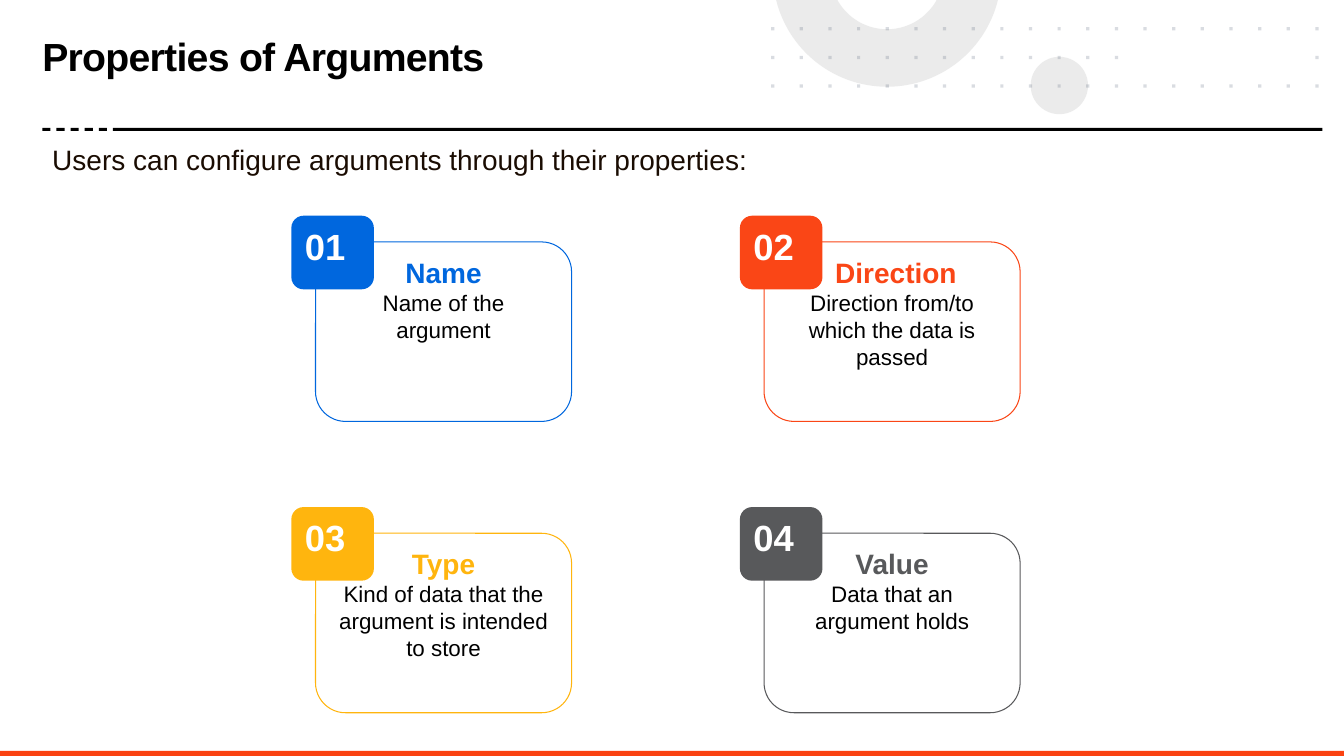
import math
import lxml.etree
import pptx
import pptx.dml.color
import pptx.enum.shapes
import pptx.enum.text
import pptx.oxml.ns
import pptx.util

TITLE = "Properties of Arguments"
INTRO = "Users can configure arguments through their properties:"
PROPERTIES = [
    ("01", "Name", "Name of the argument", "0067DE"),
    ("02", " Direction", "Direction from/to which the data is passed", "FA4616"),
    ("03", "Type", "Kind of data that the argument is intended to store", "FFB50E"),
    ("04", "Value", "Data that an argument holds", "58595B"),
]
THEME = {
    "font": "Arial", "black": "000000", "white": "FFFFFF", "intro": "1A0C02",
    "footer": "FA4211", "decor": "D9D9D9", "dots": "44546A",
    "title_size": 28, "badge_size": 26, "head_size": 20, "body_size": 16,
}

Pt = pptx.util.Pt
MSO_SHAPE = pptx.enum.shapes.MSO_SHAPE
PP_ALIGN = pptx.enum.text.PP_ALIGN
WIDTH, HEIGHT = 960, 540
MARGIN = 30.24
RULE_TOP, RULE_HEIGHT = 91.4, 2.2
CARD_X, CARD_Y, CARD_W, CARD_H = 225.4, 172.8, 182.9, 128.2
CARD_STEP_X, CARD_STEP_Y = 320.4, 208.1
BADGE_DX, BADGE_DY, BADGE_W, BADGE_H = -17.3, -18.7, 59, 52.6
DOT_X, DOT_Y, DOT_STEP, DOT_SIZE = 550.8, 19.4, 20.46, 2.3
DOT_COLUMNS, DOT_ROWS = 20, 3
MIDDLE_ROW_GAP = range(13, 19)
RING_X, RING_Y, RING_OUTER, RING_INNER = 633.6, -19.6, 81.6, 40.5


def rgb(color):
    return pptx.dml.color.RGBColor.from_string(color)


def paint(sp, fill=None, alpha=None, line=None):
    sp.shadow.inherit = False
    if fill:
        sp.fill.solid()
        sp.fill.fore_color.rgb = rgb(fill)
    else:
        sp.fill.background()
    if alpha:
        clr = sp._element.spPr.find(".//" + pptx.oxml.ns.qn("a:srgbClr"))
        lxml.etree.SubElement(clr, pptx.oxml.ns.qn("a:alpha")).set("val", str(alpha * 1000))
    if line:
        sp.line.color.rgb = rgb(line)
        sp.line.width = Pt(0.75)
    else:
        sp.line.fill.background()


def add_shape(s, kind, x, y, w, h, **look):
    sp = s.shapes.add_shape(kind, Pt(x), Pt(y), Pt(w), Pt(h))
    paint(sp, **look)
    return sp


def add_outline(s, contours, **look):
    start, *_ = contours[0]
    builder = s.shapes.build_freeform(start[0] * 100, start[1] * 100, scale=127.0)
    for i, (first, *rest) in enumerate(contours):
        if i:
            builder.move_to(first[0] * 100, first[1] * 100)
        builder.add_line_segments([(x * 100, y * 100) for x, y in rest], close=True)
    paint(builder.convert_to_shape(), **look)


def write(sp, lines, align=PP_ALIGN.LEFT):
    tf = sp.text_frame
    tf.word_wrap = True
    tf.vertical_anchor = pptx.enum.text.MSO_ANCHOR.TOP
    for i, (text, size, color, bold) in enumerate(lines):
        p = tf.add_paragraph() if i else tf.paragraphs[0]
        p.text = text
        p.alignment = align
        p.font.name = THEME["font"]
        p.font.size = Pt(size)
        p.font.bold = bold
        p.font.color.rgb = rgb(color)
    return tf


def add_text(s, x, y, w, h, line):
    return write(s.shapes.add_textbox(Pt(x), Pt(y), Pt(w), Pt(h)), [line])


def visible_arc(radius, steps=60):
    edge = math.asin(-RING_Y / radius)
    angles = [math.pi - edge - (math.pi - 2 * edge) * i / steps for i in range(steps + 1)]
    return [(RING_X + radius * math.cos(a), RING_Y + radius * math.sin(a)) for a in angles]


def square(x, y, size):
    return [(x, y), (x + size, y), (x + size, y + size), (x, y + size)]


def add_decor(s):
    add_shape(s, MSO_SHAPE.OVAL, 736.2, 40.6, 41, 41, fill=THEME["decor"], alpha=50)
    ring = visible_arc(RING_OUTER) + visible_arc(RING_INNER)[::-1]
    add_outline(s, [ring], fill=THEME["decor"], alpha=50)
    dots = [
        square(DOT_X + column * DOT_STEP, DOT_Y + row * DOT_STEP, DOT_SIZE)
        for row in range(DOT_ROWS) for column in range(DOT_COLUMNS)
        if row != 1 or column not in MIDDLE_ROW_GAP
    ]
    add_outline(s, dots, fill=THEME["dots"], alpha=20)


def add_header(s):
    tf = add_text(s, MARGIN, 28.1, 520.6, 54, (TITLE, THEME["title_size"], THEME["black"], True))
    tf.margin_left = tf.margin_right = tf.margin_top = tf.margin_bottom = 0
    p = tf.paragraphs[0]
    p.line_spacing = 0.85
    p.runs[0].font._element.set("spc", "-50")
    bars = [(80.6, 864)] + [(MARGIN + i * 10.08, 5.8) for i in range(5)]
    for x, w in bars:
        add_shape(s, MSO_SHAPE.RECTANGLE, x, RULE_TOP, w, RULE_HEIGHT, fill=THEME["black"])
    add_text(s, MARGIN, 97.9, 912.2, 31.7, (INTRO, THEME["head_size"], THEME["intro"], False))


def add_property(s, index, number, name, description, color):
    row, column = divmod(index, 2)
    x, y = CARD_X + column * CARD_STEP_X, CARD_Y + row * CARD_STEP_Y
    card = add_shape(s, MSO_SHAPE.ROUNDED_RECTANGLE, x, y, CARD_W, CARD_H, line=color)
    write(card, [
        (name, THEME["head_size"], color, True),
        (description, THEME["body_size"], THEME["black"], False),
    ], PP_ALIGN.CENTER)
    badge = add_shape(s, MSO_SHAPE.ROUNDED_RECTANGLE, x + BADGE_DX, y + BADGE_DY,
                      BADGE_W, BADGE_H, fill=color)
    write(badge, [(number, THEME["badge_size"], THEME["white"], True)])


def main():
    prs = pptx.Presentation()
    prs.slide_width, prs.slide_height = Pt(WIDTH), Pt(HEIGHT)
    s = prs.slides.add_slide(prs.slide_layouts[6])
    add_decor(s)
    add_header(s)
    add_shape(s, MSO_SHAPE.RECTANGLE, 0, 536.4, WIDTH, 3.6, fill=THEME["footer"])
    for index, item in enumerate(PROPERTIES):
        add_property(s, index, *item)
    prs.save("out.pptx")


if __name__ == "__main__":
    main()
